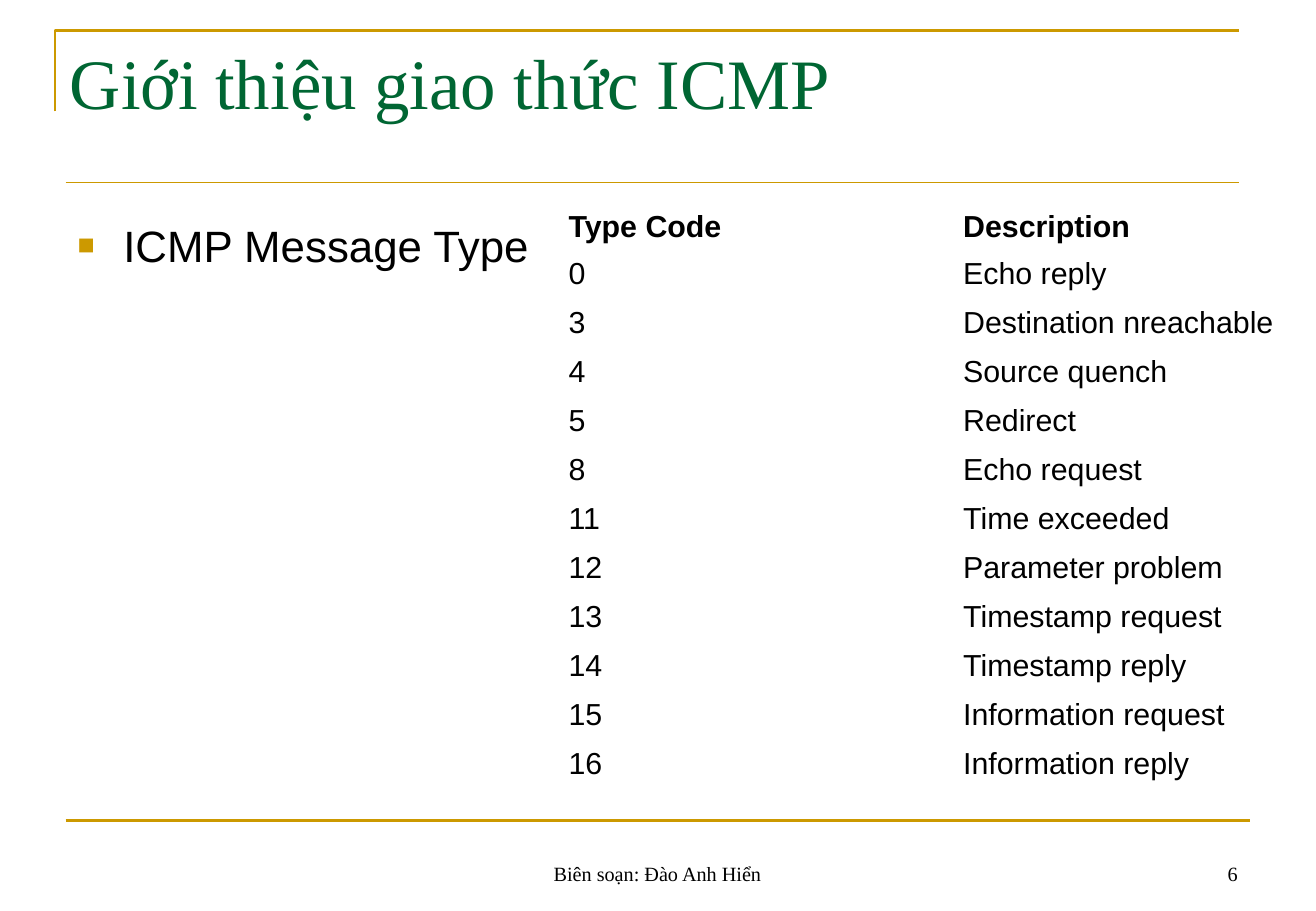
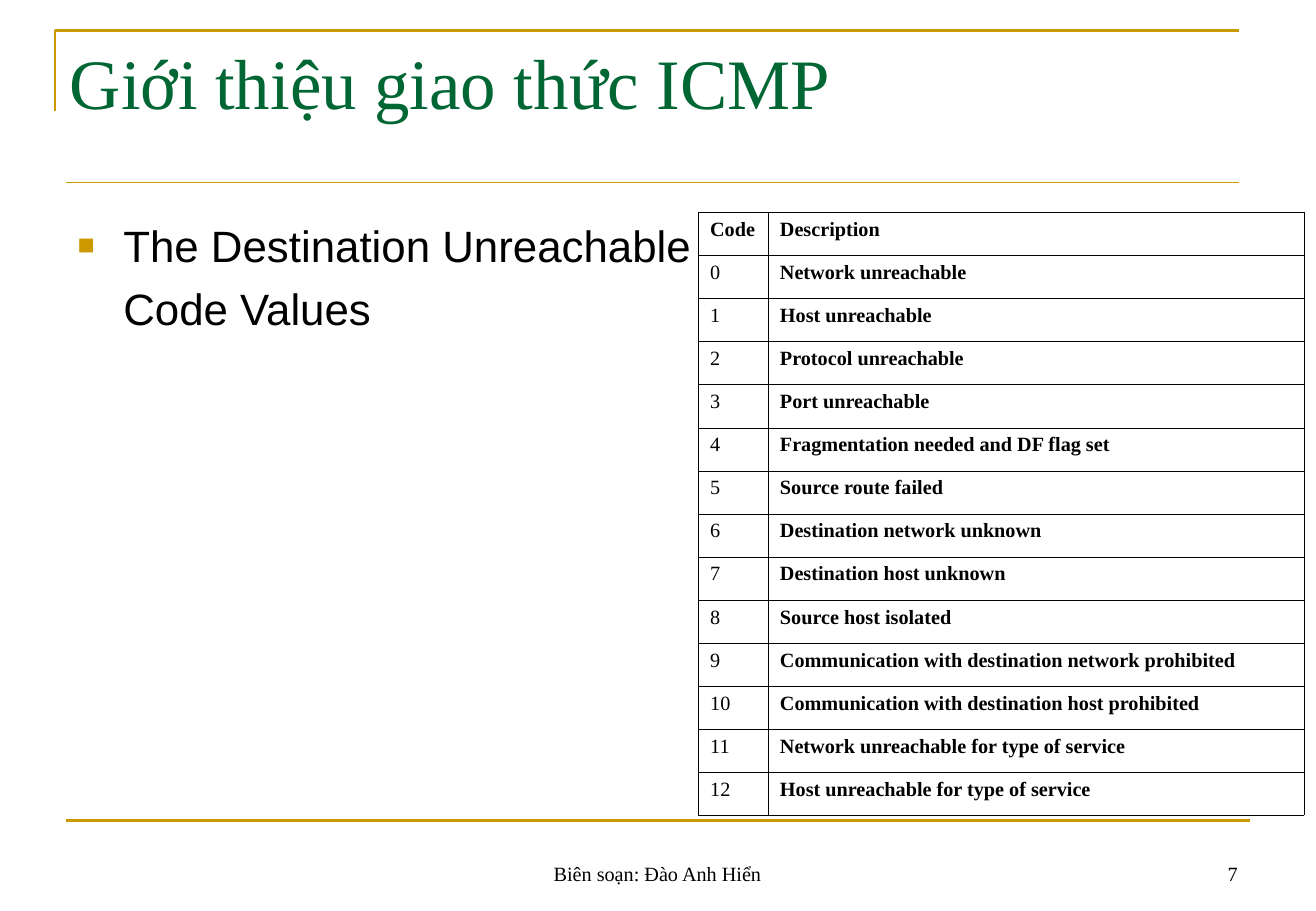
from dataclasses import dataclass

from lxml import etree
from pptx import Presentation
from pptx.dml.color import RGBColor
from pptx.enum import shapes, text
from pptx.oxml import ns
from pptx.util import Pt


@dataclass(frozen=True)
class Theme:
    gold: str = "CC9900"
    green: str = "006633"
    black: str = "000000"
    serif: str = "Times New Roman"
    sans: str = "Arial"
    title: float = 42
    body: float = 26
    table: float = 18
    small: float = 12


def add_xml(parent, tag, **attrs):
    return etree.SubElement(parent, ns.qn(tag), attrs)


class Deck:
    def __init__(self, theme):
        self.theme = theme
        self.prs = Presentation()
        self.prs.slide_width, self.prs.slide_height = Pt(780.48), Pt(540)
        self.s = None

    def style(self, p, font, size, color, bold=False, align=text.PP_ALIGN.LEFT):
        p.alignment = align
        for r in p.runs:
            r.font.name, r.font.size, r.font.bold = font, Pt(size), bold
            r.font.color.rgb = RGBColor.from_string(color)

    def outline(self, line, width):
        line.color.rgb = RGBColor.from_string(self.theme.gold)
        line.width = Pt(width)

    def slide(self, title, author, number):
        self.s = self.prs.slides.add_slide(self.prs.slide_layouts[5])
        self.corner((32.5, 66), (32.5, 18), (734.75, 18))
        self.rule(39, 741.25, 486.25, 1.5)
        self.rule(39, 734.75, 108.25, 0.75)
        self.title(title)
        self.footer(author, 266.5, 247, text.PP_ALIGN.CENTER)
        self.footer(str(number), 558.75, 182.5, text.PP_ALIGN.RIGHT)

    def corner(self, *points):
        (x, y), *rest = [(Pt(x), Pt(y)) for x, y in points]
        builder = self.s.shapes.build_freeform(x, y, scale=1.0)
        builder.add_line_segments(rest, close=False)
        sp = builder.convert_to_shape()
        sp.fill.background()
        sp.shadow.inherit = False
        self.outline(sp.line, 1.5)

    def rule(self, left, right, y, width):
        """Draw a horizontal line across the slide."""
        sp = self.s.shapes.add_connector(
            shapes.MSO_CONNECTOR.STRAIGHT, Pt(left), Pt(y), Pt(right), Pt(y))
        self.outline(sp.line, width)
        add_xml(sp._element.spPr, "a:effectLst")

    def title(self, words):
        t = self.theme
        sp = self.s.shapes.title
        sp.left, sp.top, sp.width, sp.height = Pt(34.25), Pt(19.5), Pt(702), Pt(90)
        tf = sp.text_frame
        tf.text = words
        tf.auto_size = text.MSO_AUTO_SIZE.NONE
        tf.vertical_anchor = text.MSO_ANCHOR.TOP
        self.style(tf.paragraphs[0], t.serif, t.title, t.green)

    def text_box(self, words, left, top, width, height):
        tf = self.s.shapes.add_textbox(Pt(left), Pt(top), Pt(width), Pt(height)).text_frame
        tf.word_wrap = True
        tf.text = words
        return tf

    def footer(self, words, left, width, align):
        t = self.theme
        tf = self.text_box(words, left, 492.25, width, 36)
        tf.vertical_anchor = text.MSO_ANCHOR.BOTTOM
        self.style(tf.paragraphs[0], t.serif, t.small, t.black, align=align)

    def bullet(self, lines, width):
        """Write a bulleted first line, with the other lines aligned under its text."""
        t = self.theme
        tf = self.text_box("\n".join(lines), 39, 126, width, 356.5)
        for i, p in enumerate(tf.paragraphs):
            self.style(p, t.sans, t.body, t.black, align=text.PP_ALIGN.JUSTIFY)
            p.space_before = Pt(6.5)
            pPr = p._p.get_or_add_pPr()
            pPr.set("marL", str(Pt(27)))
            if i:
                continue
            pPr.set("indent", str(Pt(-27)))
            add_xml(add_xml(pPr, "a:buClr"), "a:srgbClr", val=t.gold)
            add_xml(pPr, "a:buSzPct", val="65000")
            add_xml(pPr, "a:buFont", typeface=t.sans)
            add_xml(pPr, "a:buChar", char="■")

    def table(self, rows, left, top, widths, row_height, font, size,
              bold_columns=(), header_anchor=text.MSO_ANCHOR.TOP, border=None):
        t = self.theme
        table = self.s.shapes.add_table(
            len(rows), len(widths), Pt(left), Pt(top),
            Pt(sum(widths)), Pt(row_height * len(rows))).table
        table.first_row = table.horz_banding = False
        for column, width in zip(table.columns, widths):
            column.width = Pt(width)
        for i, row in enumerate(rows):
            for j, words in enumerate(row):
                cell = table.cell(i, j)
                cell.text = words
                cell.vertical_anchor = text.MSO_ANCHOR.TOP if i else header_anchor
                if border:
                    self.cell_border(cell, border)
                cell.fill.background()
                self.style(cell.text_frame.paragraphs[0], font, size, t.black,
                           bold=i == 0 or j in bold_columns)

    def cell_border(self, cell, width):
        tcPr = cell._tc.get_or_add_tcPr()
        for side in "LRTB":
            ln = add_xml(tcPr, f"a:ln{side}", w=str(Pt(width)))
            add_xml(add_xml(ln, "a:solidFill"), "a:srgbClr", val=self.theme.black)


TITLE = "Giới thiệu giao thức ICMP"
AUTHOR = "Biên soạn: Đào Anh Hiển"

MESSAGE_TYPES = [
    ("Type Code", "Description"),
    ("0", "Echo reply"),
    ("3", "Destination nreachable"),
    ("4", "Source quench"),
    ("5", "Redirect"),
    ("8", "Echo request"),
    ("11", "Time exceeded"),
    ("12", "Parameter problem"),
    ("13", "Timestamp request"),
    ("14", "Timestamp reply"),
    ("15", "Information request"),
    ("16", "Information reply"),
]

UNREACHABLE_REASONS = [
    "Network unreachable",
    "Host unreachable",
    "Protocol unreachable",
    "Port unreachable",
    "Fragmentation needed and DF flag set",
    "Source route failed",
    "Destination network unknown",
    "Destination host unknown",
    "Source host isolated",
    "Communication with destination network prohibited",
    "Communication with destination host prohibited",
    "Network unreachable for type of service",
    "Host unreachable for type of service",
]


def main():
    theme = Theme()
    deck = Deck(theme)

    deck.slide(TITLE, AUTHOR, 6)
    deck.bullet(["ICMP Message Type"], 345)
    deck.table(MESSAGE_TYPES, 330, 120, (234, 234), 29, theme.sans, theme.table,
               header_anchor=text.MSO_ANCHOR.MIDDLE)

    deck.slide(TITLE, AUTHOR, 7)
    deck.bullet(["The Destination Unreachable", "Code Values"], 705)
    codes = [(str(i), reason) for i, reason in enumerate(UNREACHABLE_REASONS)]
    deck.table([("Code", "Description"), *codes], 414, 126, (41.4, 318), 25.53,
               theme.serif, theme.small, bold_columns=(1,), border=0.34)

    deck.prs.save("out.pptx")


if __name__ == "__main__":
    main()
